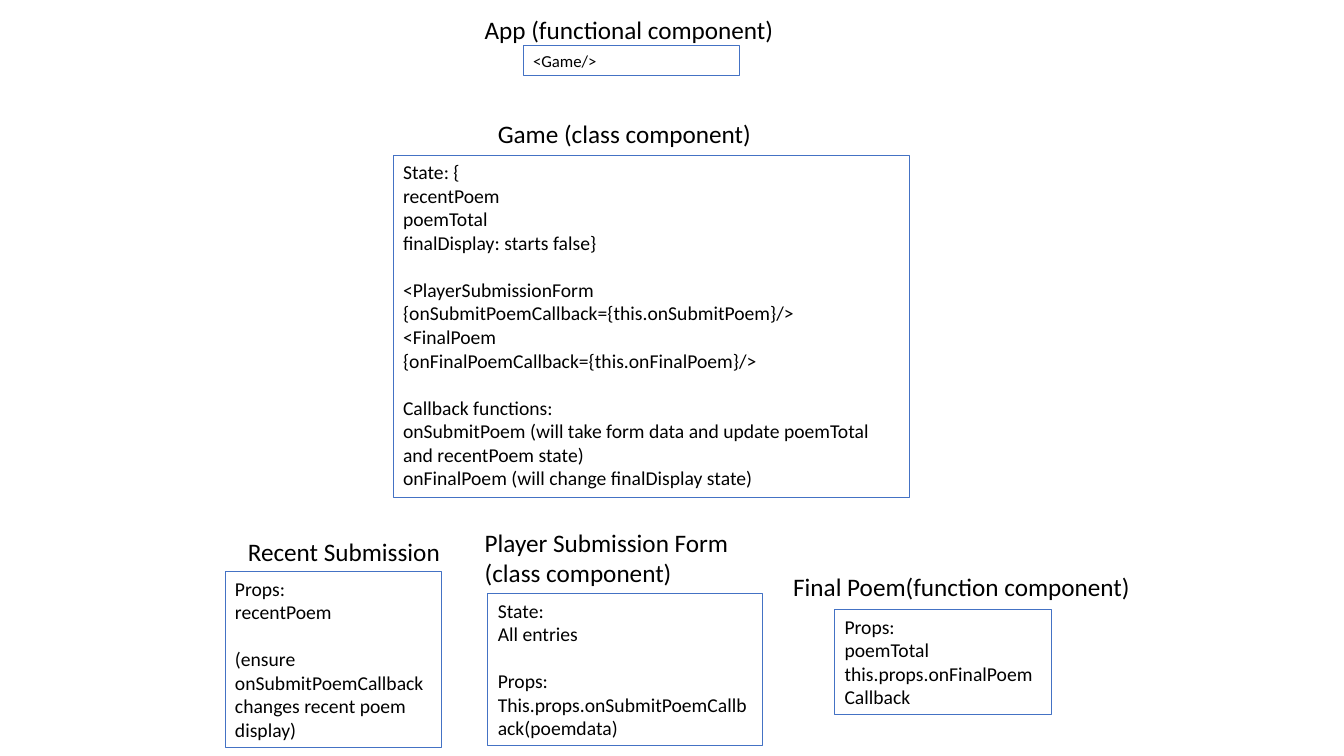
"""Build a one-slide diagram of the components of a poem game."""
import pptx
import pptx.dml.color
import pptx.enum.shapes
import pptx.enum.text
import pptx.util

BLACK = pptx.dml.color.RGBColor(0x00, 0x00, 0x00)
BLUE = pptx.dml.color.RGBColor(0x44, 0x72, 0xC4)
COLUMNS, ROWS = 40, 30


class Diagram:
    """Hold the style and the current slide, and add headings and boxes."""

    font = {"name": "Calibri"}
    frame = {
        "word_wrap": True,
        "auto_size": pptx.enum.text.MSO_AUTO_SIZE.SHAPE_TO_FIT_TEXT,
        "vertical_anchor": pptx.enum.text.MSO_ANCHOR.TOP,
    }

    def __init__(self, prs):
        """Add a blank slide and measure its grid."""
        self.s = prs.slides.add_slide(prs.slide_layouts[6])
        self.col = prs.slide_width / COLUMNS
        self.row = prs.slide_height / ROWS

    def place(self, col, row, cols, rows):
        """Turn grid units into lengths."""
        return (round(col * self.col), round(row * self.row),
                round(cols * self.col), round(rows * self.row))

    def fill_text(self, sp, groups, size):
        """Set groups of lines, one line of space between groups."""
        tf = sp.text_frame
        for key, value in self.frame.items():
            setattr(tf, key, value)
        tf.text = "\n".join(line for group in groups for line in group)
        starts, count = set(), 0
        for group in groups[:-1]:
            count += len(group)
            starts.add(count)
        for i, p in enumerate(tf.paragraphs):
            p.alignment = pptx.enum.text.PP_ALIGN.LEFT
            p.space_before = pptx.util.Pt(1.2 * size if i in starts else 0)
            for r in p.runs:
                for key, value in {**self.font, "size": pptx.util.Pt(size)}.items():
                    setattr(r.font, key, value)
                r.font.color.rgb = BLACK

    def heading(self, text, *cell):
        """Add a component's name."""
        sp = self.s.shapes.add_textbox(*self.place(*cell))
        self.fill_text(sp, [[text]], 18)

    def box(self, groups, *cell, size=14):
        """Add an outlined box with a component's contents."""
        sp = self.s.shapes.add_shape(
            pptx.enum.shapes.MSO_SHAPE.RECTANGLE, *self.place(*cell))
        sp.shadow.inherit = False
        sp.fill.background()
        sp.line.color.rgb = BLUE
        sp.line.width = pptx.util.Pt(0.75)
        self.fill_text(sp, groups, size)


prs = pptx.Presentation()
prs.slide_width = pptx.util.Inches(13.33)
prs.slide_height = pptx.util.Inches(7.5)
d = Diagram(prs)

d.heading("App (functional component)", 14.13, 0.36, 9.3, 1.6)
d.box([["<Game/>"]], 15.57, 1.8, 6.45, 1.2, size=12)

d.heading("Game (class component)", 14.52, 4.48, 8.4, 1.6)
d.box([
    ["State: {", "recentPoem", "poemTotal ", "finalDisplay: starts false}"],
    ["<PlayerSubmissionForm", "{onSubmitPoemCallback={this.onSubmitPoem}/>",
     "<FinalPoem", "{onFinalPoemCallback={this.onFinalPoem}/>"],
    ["Callback functions:",
     "onSubmitPoem (will take form data and update poemTotal "
     "and recentPoem state)",
     "onFinalPoem (will change finalDisplay state)"],
], 11.7, 6.16, 15.36, 13.6)

d.heading("Recent Submission", 7.08, 21.08, 6.36, 1.6)
d.box([
    ["Props:", "recentPoem"],
    ["(ensure onSubmitPoemCallback changes recent poem display)"],
], 6.7, 22.68, 6.45, 7)

d.heading("Player Submission Form (class component)", 14.13, 20.72, 8.16, 2.84)
d.box([
    ["State:", "All entries"],
    ["Props:", "This.props.onSubmitPoemCallback(poemdata)"],
], 14.52, 23.56, 8.16, 6.04)

d.heading("Final Poem(function component)", 23.31, 22.48, 10.86, 1.6)
d.box([["Props:", "poemTotal", "this.props.onFinalPoemCallback"]],
      24.84, 24.2, 6.45, 4.16)

prs.save("out.pptx")
